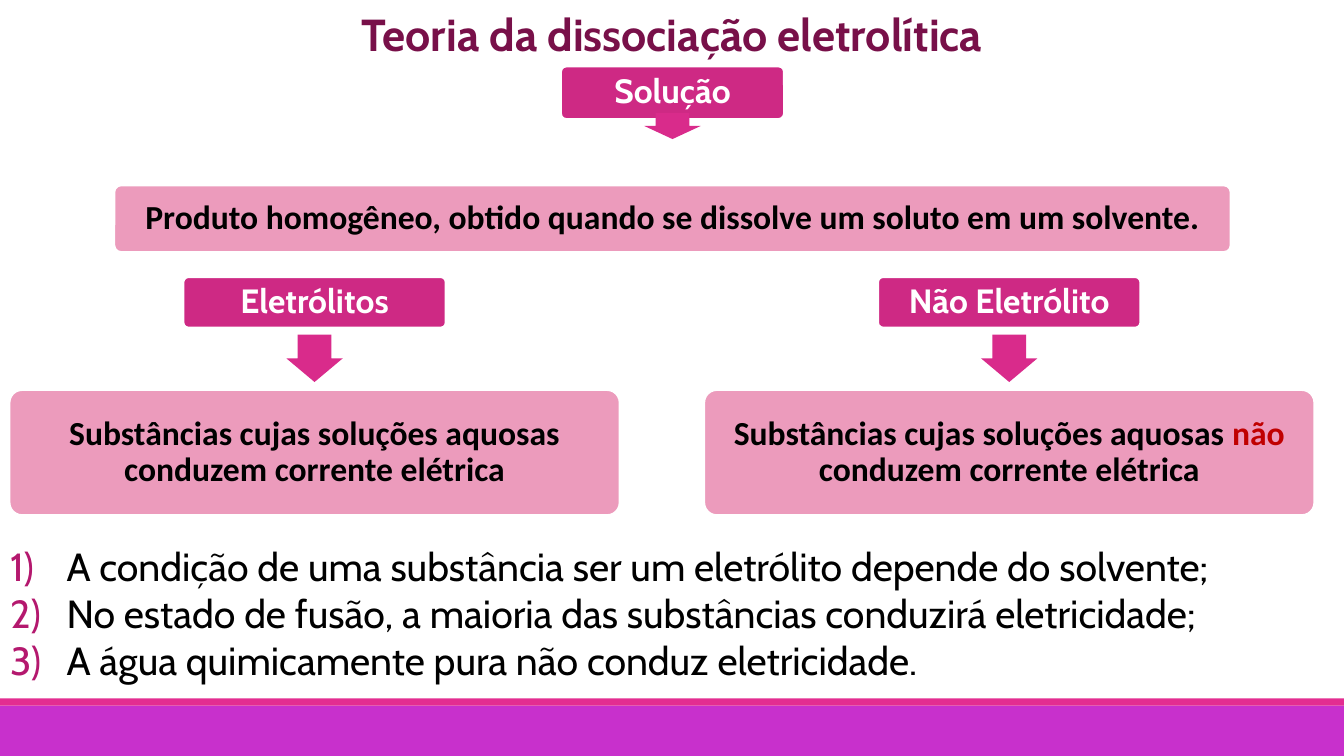
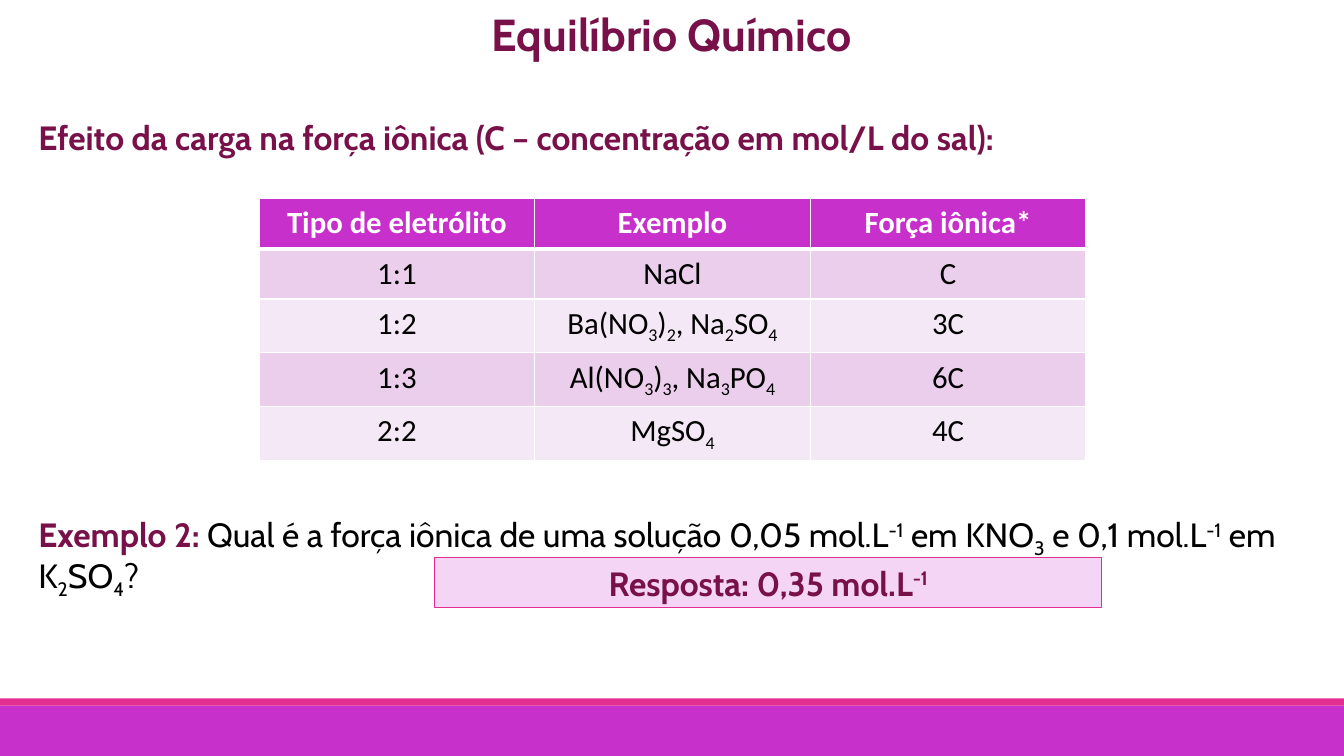
from lxml import etree
from pptx import Presentation
from pptx import util as u
from pptx.dml.color import RGBColor
from pptx.enum import shapes, text
from pptx.oxml.ns import qn

PURPLE, PINK, PLUM = "C830CC", "E32D91", "781049"
LABEL, ARROW, PANEL = "CE2984", "D92B8B", "EC9BBC"
NUMBER, RED, ANSWER = "B4186E", "C00000", "F4D5F5"
WHITE, BLACK = "FFFFFF", "000000"
ROW_FILLS = ["EBCDEC", "F5E8F6"]
CENTER = text.PP_ALIGN.CENTER
WIDTH = 13.33

BANDS = [(7, 0.5, PURPLE), (6.93, 0.07, PINK)]

FLOWS = [
    {"center": 6.67, "label": "Solução", "label_box": (0.66, 2.21, 0.52),
     "arrow": (1.12, 0.26), "panel_box": (1.84, 11.07, 0.66),
     "parts": [("Produto homogêneo, obtido quando se dissolve um soluto em um solvente.", BLACK)]},
    {"center": 3.12, "label": "Eletrólitos", "label_box": (2.75, 2.6, 0.5),
     "arrow": (3.32, 0.47), "panel_box": (3.87, 6.05, 1.24),
     "parts": [("Substâncias cujas soluções aquosas conduzem corrente elétrica", BLACK)]},
    {"center": 10.01, "label": "Não Eletrólito", "label_box": (2.75, 2.6, 0.5),
     "arrow": (3.32, 0.47), "panel_box": (3.87, 6.05, 1.24),
     "parts": [("Substâncias cujas soluções aquosas ", BLACK), ("não", RED),
               (" conduzem corrente elétrica", BLACK)]},
]
REMARKS = [
    "A condição de uma substância ser um eletrólito depende do solvente;",
    "No estado de fusão, a maioria das substâncias conduzirá eletricidade;",
    "A água quimicamente pura não conduz eletricidade.",
]
HEADING = [("Efeito da carga na força iônica (C – concentração em mol/L do sal):", PLUM, True)]
QUESTION = [
    ("Exemplo 2: ", PLUM, True),
    ("Qual é a força iônica de uma solução 0,05 mol.L~-1~ em KNO~3~ e 0,1 mol.L~-1~ em K~2~SO~4~?",
     BLACK, False),
]
SALTS = [
    ["Tipo de eletrólito", "Exemplo", "Força iônica*"],
    ["1:1", "NaCl", "C"],
    ["1:2", "Ba(NO~3~)~2~, Na~2~SO~4~", "3C"],
    ["1:3", "Al(NO~3~)~3~, Na~3~PO~4~", "6C"],
    ["2:2", "MgSO~4~", "4C"],
]


def color(value):
    return RGBColor.from_string(value)


def add_runs(paragraph, content, size, font, value, bold=False):
    for index, piece in enumerate(content.split("~")):
        if not piece:
            continue
        run = paragraph.add_run()
        run.text = piece
        run.font.size, run.font.name, run.font.bold = u.Pt(size), font, bold
        run.font.color.rgb = color(value)
        if index % 2:
            baseline = 30000 if piece.startswith("-") else -25000
            run.font._element.set("baseline", str(baseline))


def place(shape, left, top, width, height):
    shape.left, shape.top = u.Inches(left), u.Inches(top)
    shape.width, shape.height = u.Inches(width), u.Inches(height)
    frame = shape.text_frame
    frame.word_wrap = True
    frame.auto_size = text.MSO_AUTO_SIZE.NONE
    frame.vertical_anchor = text.MSO_ANCHOR.TOP
    return frame


def add_box(slide, kind, left, top, width, height, fill, line=None, weight=1.25):
    shape = slide.shapes.add_shape(kind, *map(u.Inches, (left, top, width, height)))
    shape.shadow.inherit = False
    shape.fill.solid()
    shape.fill.fore_color.rgb = color(fill)
    if line:
        shape.line.color.rgb = color(line)
        shape.line.width = u.Pt(weight)
    else:
        shape.line.fill.background()
    shape.text_frame.word_wrap = True
    shape.text_frame.vertical_anchor = text.MSO_ANCHOR.MIDDLE
    return shape


def set_bullet(paragraph, indent, hanging=0, numbered=False):
    properties = paragraph._p.get_or_add_pPr()
    properties.set("marL", str(u.Inches(indent)))
    properties.set("indent", str(-u.Inches(hanging)))
    if not numbered:
        etree.SubElement(properties, qn("a:buNone"))
        return
    bullet_color = etree.SubElement(properties, qn("a:buClr"))
    etree.SubElement(bullet_color, qn("a:srgbClr"), val=NUMBER)
    etree.SubElement(properties, qn("a:buFont"), typeface="Cabin")
    etree.SubElement(properties, qn("a:buAutoNum"), type="arabicParenR")


def add_bands(presentation, slide):
    tree = presentation.slide_master.shapes._spTree
    for index, (top, height, fill) in enumerate(BANDS):
        band = add_box(slide, shapes.MSO_SHAPE.RECTANGLE, 0, top, WIDTH, height, fill)
        tree.insert(2 + index, band._element)


def add_slide(presentation, layout, title):
    slide = presentation.slides.add_slide(presentation.slide_layouts[layout])
    paragraph = place(slide.shapes.title, 0, 0.02, WIDTH, 0.64).paragraphs[0]
    paragraph.alignment = CENTER
    add_runs(paragraph, title, 32, "Cabin", PLUM, True)
    return slide


def add_rounded(slide, center, box, fill, parts, font):
    top, width, height = box
    shape = add_box(slide, shapes.MSO_SHAPE.ROUNDED_RECTANGLE,
                    center - width / 2, top, width, height, fill, WHITE)
    shape.adjustments[0] = 0.1
    paragraph = shape.text_frame.paragraphs[0]
    paragraph.alignment, paragraph.line_spacing = CENTER, 0.9
    for content, value in parts:
        add_runs(paragraph, content, 24, font, value, True)


def add_flow(slide, flow):
    center = flow["center"]
    add_rounded(slide, center, flow["label_box"], LABEL, [(flow["label"], WHITE)], "Cabin")
    top, height = flow["arrow"]
    arrow = add_box(slide, shapes.MSO_SHAPE.DOWN_ARROW, center - 0.28, top, 0.56, height, ARROW)
    arrow.adjustments[0], arrow.adjustments[1] = 0.6, 0.5
    add_rounded(slide, center, flow["panel_box"], PANEL, flow["parts"], "Calibri")


def add_remarks(placeholder):
    frame = place(placeholder, 0, 5.33, WIDTH, 1.51)
    for index, remark in enumerate(REMARKS):
        paragraph = frame.add_paragraph() if index else frame.paragraphs[0]
        paragraph.alignment = text.PP_ALIGN.JUSTIFY
        paragraph.space_before = u.Pt(0)
        set_bullet(paragraph, 0.56, 0.56, True)
        add_runs(paragraph, remark, 28, "Cabin", BLACK)


def add_passage(placeholder, top, height, parts):
    paragraph = place(placeholder, 0.16, top, 12.71, height).paragraphs[0]
    paragraph.line_spacing, paragraph.space_before = 0.9, u.Pt(0)
    set_bullet(paragraph, 0.12)
    for content, value, bold in parts:
        add_runs(paragraph, content, 24, "Cabin", value, bold)


def set_borders(cell, row):
    properties = cell._tc.get_or_add_tcPr()
    thick = {0: "lnB", 1: "lnT"}.get(row)
    for side in ("lnL", "lnR", "lnT", "lnB"):
        weight = u.Pt(3 if side == thick else 1)
        line = etree.SubElement(properties, qn("a:" + side), w=str(weight))
        fill = etree.SubElement(line, qn("a:solidFill"))
        etree.SubElement(fill, qn("a:srgbClr"), val=WHITE)


def add_salt_table(slide):
    frame = slide.shapes.add_table(len(SALTS), len(SALTS[0]),
                                   *map(u.Inches, (2.57, 1.97, 8.2, 2.49)))
    for row, contents in enumerate(SALTS):
        header = row == 0
        for column, content in enumerate(contents):
            cell = frame.table.cell(row, column)
            cell.margin_left = cell.margin_right = u.Inches(0.12)
            cell.margin_top = cell.margin_bottom = u.Inches(0.06)
            set_borders(cell, row)
            cell.fill.solid()
            cell.fill.fore_color.rgb = color(PURPLE if header else ROW_FILLS[(row - 1) % 2])
            paragraph = cell.text_frame.paragraphs[0]
            paragraph.alignment = CENTER
            add_runs(paragraph, content, 22, "Calibri", WHITE if header else BLACK, header)


def add_answer(slide):
    shape = add_box(slide, shapes.MSO_SHAPE.RECTANGLE, 4.31, 5.53, 6.62, 0.5, ANSWER, PINK, 0.75)
    paragraph = shape.text_frame.paragraphs[0]
    paragraph.alignment = CENTER
    add_runs(paragraph, "Resposta: 0,35 mol.L~-1~", 24, "Cabin", PLUM, True)


def main():
    presentation = Presentation()
    presentation.slide_width, presentation.slide_height = u.Inches(WIDTH), u.Inches(7.5)

    theory = add_slide(presentation, 1, "Teoria da dissociação eletrolítica")
    add_bands(presentation, theory)
    for flow in FLOWS:
        add_flow(theory, flow)
    add_remarks(theory.placeholders[1])

    equilibrium = add_slide(presentation, 3, "Equilíbrio Químico")
    add_passage(equilibrium.placeholders[1], 1.15, 0.5, HEADING)
    add_salt_table(equilibrium)
    add_passage(equilibrium.placeholders[2], 5.05, 0.95, QUESTION)
    add_answer(equilibrium)

    presentation.save("out.pptx")


if __name__ == "__main__":
    main()
